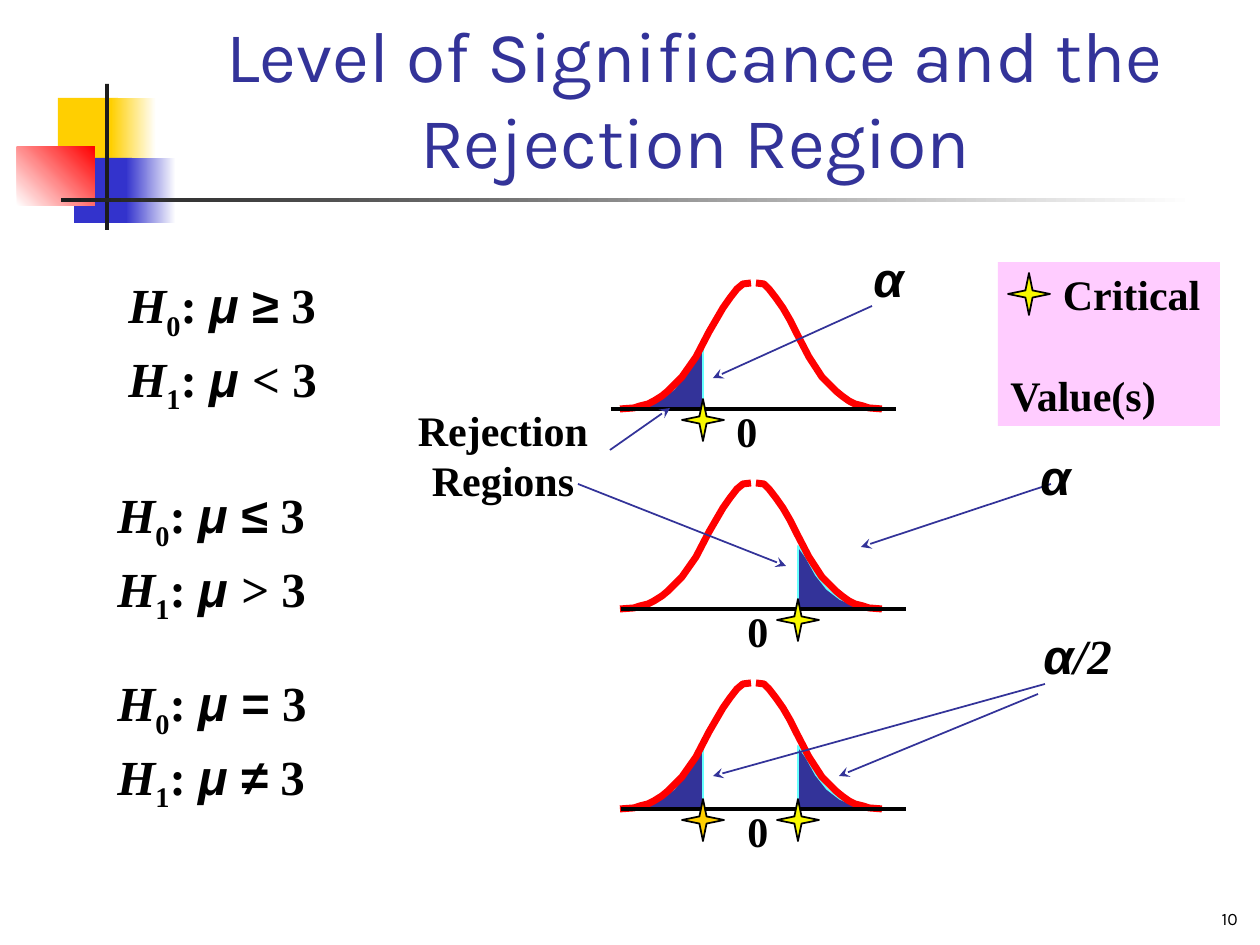
from lxml.etree import SubElement
from pptx import Presentation
from pptx.dml.color import RGBColor
from pptx.enum.shapes import MSO_CONNECTOR, MSO_SHAPE
from pptx.enum.text import MSO_ANCHOR, PP_ALIGN
from pptx.oxml.ns import qn
from pptx.util import Emu, Pt

PX = 914400 / 126  # EMU per px
C = {"navy": "333399", "blue": "3333CC", "gold": "FFCF01", "red": "FF0000",
     "dark": "1C1C1C", "white": "FFFFFF", "black": "000000", "cyan": "66FFFF",
     "yellow": "F8F800", "pink": "FFCCFF"}
RGB = {name: RGBColor.from_string(value) for name, value in C.items()}
SERIF, SANS, TITLE = "Times New Roman", "Arial", "Karla"


def px(*values):
    return [Emu(round(v * PX)) for v in values]


def add_text(box, lines, size, align=PP_ALIGN.LEFT):
    """Add a text box; each line is a list of (text, font, style), style from b, i and s (subscript)."""
    s = shapes.add_textbox(*px(*box))
    tf = s.text_frame
    tf.word_wrap = True
    for i, line in enumerate(lines):
        p = tf.paragraphs[0] if i == 0 else tf.add_paragraph()
        p.alignment = align
        for text, font, style in line:
            r = p.add_run()
            r.text = text
            r.font.name, r.font.size = font, Pt(size)
            r.font.bold, r.font.italic = "b" in style, "i" in style
            r.font.color.rgb = RGB["black"]
            if "s" in style:
                r._r.get_or_add_rPr().set("baseline", "-25000")
    return s


prs = Presentation()
prs.slide_width, prs.slide_height = px(1260, 945)
slide = prs.slides.add_slide(prs.slide_layouts[5])
shapes = slide.shapes

# Corner ornament: plain blocks have no angle, faded ones run from white
for box, color, angle in [
    ((58, 98, 60, 66), "gold", None),
    ((111, 98, 45, 66), "gold", 180),
    ((74, 158, 58, 65), "blue", None),
    ((126, 158, 50, 65), "blue", 180),
    ((17, 147, 78, 59), "red", 45),
    ((105, 84, 4, 146), "dark", None),
    ((61, 198, 1134, 4), "dark", 180),
]:
    s = shapes.add_shape(MSO_SHAPE.RECTANGLE, *px(*box))
    s.shadow.inherit = False
    s.line.fill.background()
    if angle is None:
        s.fill.solid()
        s.fill.fore_color.rgb = RGB[color]
    else:
        s.fill.gradient()
        s.fill.gradient_angle = angle
        for stop, name in zip(s.fill.gradient_stops, ("white", color)):
            stop.color.rgb = RGB[name]

title = shapes.title
title.left, title.top, title.width, title.height = px(159, 31, 1073, 158)
tf = title.text_frame
tf.text = "Level of Significance and the Rejection Region"
tf.word_wrap = True
tf.vertical_anchor = MSO_ANCHOR.BOTTOM
p = tf.paragraphs[0]
p.alignment = PP_ALIGN.CENTER
p.font.name, p.font.size = TITLE, Pt(41)
p.font.color.rgb = RGB["navy"]

# Bell curves: one row per test, offsets from the outer end and the row top
ROWS = [283, 483, 683]
TAIL = [(0, 125), (21, 116), (34, 106), (45, 92), (55, 74), (63, 63), (63, 126), (0, 126)]
HALF = [(0, 126), (14, 125), (20, 123), (28, 121), (34, 118), (42, 113), (48, 108),
        (62, 94), (76, 74), (89, 49), (96, 37), (103, 25), (110, 15), (117, 6),
        (123, 1), (131, 0)]
LEFT_CRITICAL, RIGHT_CRITICAL = 703, 798
tails = [(0, "left"), (1, "right"), (2, "right"), (2, "left")]

outlines = []
for row, side in tails:
    outlines.append(([(640 + x if side == "left" else 861 - x, ROWS[row] + y)
                      for x, y in TAIL], True))
for top in ROWS:
    outlines.append(([(620 + x, top + y) for x, y in HALF], False))
    outlines.append(([(882 - round(x * 126 / 131), top + y) for x, y in HALF], False))
for points, is_tail in outlines:
    builder = shapes.build_freeform(*points[0], scale=PX)
    builder.add_line_segments(points[1:], close=is_tail)
    s = builder.convert_to_shape()
    s.shadow.inherit = False
    if is_tail:
        s.fill.solid()
        s.fill.fore_color.rgb = RGB["navy"]
    else:
        s.fill.background()
    s.line.color.rgb = RGB["cyan" if is_tail else "red"]
    s.line.width = Pt(1 if is_tail else 4)

# Axes and arrows
axes = [(x, top + 126, x + 285, top + 126) for x, top in zip((611, 621, 621), ROWS)]
arrows = [(872, 306, 713, 378), (1051, 484, 861, 547), (1038, 694, 839, 776),
          (1045, 684, 713, 776), (610, 450, 670, 408), (578, 484, 786, 566)]
for ends in axes + arrows:
    s = shapes.add_connector(MSO_CONNECTOR.STRAIGHT, *px(*ends))
    is_arrow = ends in arrows
    s.line.color.rgb = RGB["navy" if is_arrow else "black"]
    s.line.width = Pt(1 if is_arrow else 2)
    if is_arrow:
        SubElement(s.line._get_or_add_ln(), qn("a:tailEnd"), type="stealth")
    SubElement(s._element.spPr, qn("a:effectLst"))

# Hypotheses: sign and its font for H0 and H1
for x, y, signs in [
    (116, 262, [("≥", SANS), ("<", SERIF)]),
    (105, 472, [("≤", SANS), (">", SERIF)]),
    (105, 660, [("=", SANS), ("≠", SANS)]),
]:
    lines = [[("H", SERIF, "bi"), (str(i), SERIF, "bs"), (": ", SERIF, "b"),
              ("μ ", SANS, "bi"), (sign, font, "b"), (" 3", SERIF, "b")]
             for i, (sign, font) in enumerate(signs)]
    s = add_text((x, y, 295, 159), lines, 28)
    for p in s.text_frame.paragraphs:
        p.line_spacing = 1.1

for x, top in zip((724, 735, 735), ROWS):
    add_text((x, top + 116, 86, 63), [[("0", SERIF, "b")]], 24)

alpha = ("α", SANS, "bi")
for x, y, runs in [(861, 242, [alpha]), (1028, 440, [alpha]),
                   (1031, 619, [alpha, ("/2", SERIF, "bi")])]:
    add_text((x, y, 127, 71), [runs], 28)

add_text((345, 398, 316, 113), [[("Rejection Regions", SERIF, "b")]], 24, PP_ALIGN.CENTER)

# Legend
legend = add_text((998, 262, 222, 164),
                  [[("Critical", SERIF, "b")], [("Value(s)", SERIF, "b")]], 24)
legend.fill.solid()
legend.fill.fore_color.rgb = RGB["pink"]
first, second = legend.text_frame.paragraphs
first._p.get_or_add_pPr().set("marL", str(Pt(30)))
second.space_before = Pt(29)

# Critical value stars, by centre
stars = [(LEFT_CRITICAL if side == "left" else RIGHT_CRITICAL, ROWS[row] + 137,
          "gold" if (row, side) == (2, "left") else "yellow") for row, side in tails]
for x, y, color in stars + [(1029, 294, "yellow")]:
    s = shapes.add_shape(MSO_SHAPE.STAR_4_POINT, *px(x - 21, y - 21, 42, 42))
    s.adjustments[0] = 0.12
    s.shadow.inherit = False
    s.fill.solid()
    s.fill.fore_color.rgb = RGB[color]
    s.line.color.rgb = RGB["black"]
    s.line.width = Pt(1)

number = add_text((988, 871, 262, 64), [[("10", TITLE, "")]], 10, PP_ALIGN.RIGHT)
number.text_frame.vertical_anchor = MSO_ANCHOR.BOTTOM

prs.save("out.pptx")
